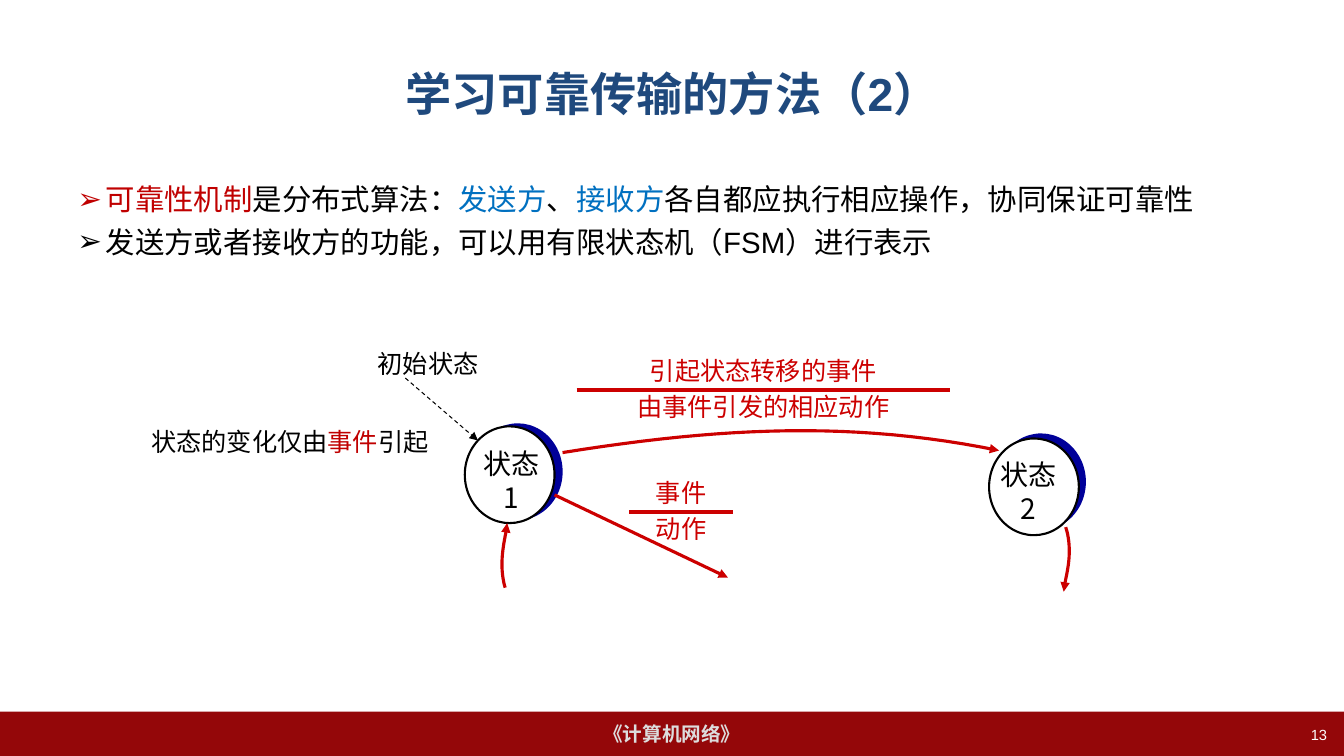
from lxml import etree
from pptx import Presentation
from pptx.dml.color import RGBColor
from pptx.enum.dml import MSO_LINE
from pptx.enum.shapes import MSO_CONNECTOR, MSO_SHAPE
from pptx.enum.text import MSO_ANCHOR, PP_ALIGN
from pptx.oxml.ns import qn
from pptx.util import Pt

PX = 9144
STRAIGHT = MSO_CONNECTOR.STRAIGHT
OVAL, RECTANGLE = MSO_SHAPE.OVAL, MSO_SHAPE.RECTANGLE
LEFT, CENTER, RIGHT = PP_ALIGN.LEFT, PP_ALIGN.CENTER, PP_ALIGN.RIGHT
TOP, MIDDLE = MSO_ANCHOR.TOP, MSO_ANCHOR.MIDDLE
DASH = MSO_LINE.DASH

BLACK = RGBColor(0x00, 0x00, 0x00)
WHITE = RGBColor(0xFF, 0xFF, 0xFF)
NAVY = RGBColor(0x1F, 0x49, 0x7D)
BLUE = RGBColor(0x00, 0x70, 0xC0)
CRIMSON = RGBColor(0xC0, 0x00, 0x00)
RED = RGBColor(0xCC, 0x00, 0x00)
SHADE = RGBColor(0x00, 0x00, 0x99)
MAROON = RGBColor(0x94, 0x07, 0x09)
SILVER = RGBColor(0xDD, 0xDD, 0xDD)
ARIAL, NOTO = "Arial", "Noto Sans CJK SC"


def px(*lengths):
    return [round(length * PX) for length in lengths]


def add_bullet(paragraph, mark, indent):
    properties = paragraph._p.get_or_add_pPr()
    properties.set("marL", str(indent * PX))
    properties.set("indent", str(-indent * PX))
    etree.SubElement(properties, qn("a:buFont")).set("typeface", ARIAL)
    etree.SubElement(properties, qn("a:buChar")).set("char", mark)


def write_text(shape, paragraphs, size=18, font=NOTO, color=BLACK, bold=False,
               align=CENTER, anchor=TOP, wrap=False, bullet=None, gap=0, spacing=None):
    frame = shape.text_frame
    frame.word_wrap = wrap
    frame.vertical_anchor = anchor
    for index, runs in enumerate(paragraphs):
        paragraph = frame.add_paragraph() if index else frame.paragraphs[0]
        if bullet:
            add_bullet(paragraph, bullet, 28)
        paragraph.alignment = align
        if spacing:
            paragraph.line_spacing = spacing
        if index and gap:
            paragraph.space_before = Pt(gap)
        for text, run_color in [(runs, color)] if isinstance(runs, str) else runs:
            run = paragraph.add_run()
            run.text = text
            run.font.size = Pt(size)
            run.font.bold = bold
            run.font.name = font
            run.font.color.rgb = run_color
            east_asian = etree.SubElement(run._r.get_or_add_rPr(), qn("a:ea"))
            east_asian.set("typeface", NOTO)


def add_text(slide, box, paragraphs, **text_format):
    write_text(slide.shapes.add_textbox(*px(*box)), paragraphs, **text_format)


def add_filled(slide, kind, box, fill, outline=None):
    shape = slide.shapes.add_shape(kind, *px(*box))
    shape.shadow.inherit = False
    shape.fill.solid()
    shape.fill.fore_color.rgb = fill
    if outline is None:
        shape.line.fill.background()
    else:
        shape.line.color.rgb = outline
        shape.line.width = Pt(1.5)
    return shape


def style_line(shape, color, width, arrow, dash=None):
    shape.line.color.rgb = color
    shape.line.width = Pt(width)
    if dash:
        shape.line.dash_style = dash
    if arrow:
        outline = shape._element.spPr.find(qn("a:ln"))
        etree.SubElement(outline, qn("a:tailEnd")).set("type", "triangle")


def add_line(slide, start, end, color=RED, width=2.25, arrow=False, dash=None):
    connector = slide.shapes.add_connector(STRAIGHT, *px(*start, *end))
    style_line(connector, color, width, arrow, dash)
    etree.SubElement(connector._element.spPr, qn("a:effectLst"))


def add_curved_arrow(slide, *controls, steps=24):
    def point(t):
        weights = ((1 - t) ** 3, 3 * t * (1 - t) ** 2, 3 * t ** 2 * (1 - t), t ** 3)
        return px(*(sum(w * c[axis] for w, c in zip(weights, controls)) for axis in (0, 1)))

    points = [point(step / steps) for step in range(steps + 1)]
    builder = slide.shapes.build_freeform(*points[0])
    builder.add_line_segments(points[1:], close=False)
    curve = builder.convert_to_shape()
    curve.shadow.inherit = False
    curve.fill.background()
    style_line(curve, RED, 2.25, True)


def add_state(slide, box, number, shade_offset, label_box):
    left, top, width, height = box
    dx, dy = shade_offset
    add_filled(slide, OVAL, (left + dx, top + dy, width, height), SHADE)
    add_filled(slide, OVAL, box, WHITE, BLACK)
    x, y, label_width, label_height = label_box
    add_text(slide, (left + x, top + y, label_width, label_height),
             ["状态", number], size=20, wrap=True)


def add_transition_label(slide, box, event, action):
    left, top, width, height = box
    middle = top + height // 2
    add_text(slide, (left, middle - 39, width, 40), [event], color=RED)
    add_line(slide, (left, middle), (left + width, middle))
    add_text(slide, (left, middle - 4, width, 40), [action], color=RED)


def add_heading(slide, box):
    add_text(slide, box, ["学习可靠传输的方法（2）"], size=33, font=ARIAL,
             color=NAVY, bold=True, anchor=MIDDLE, wrap=True)


def add_body(slide, box):
    add_text(slide, box, [
        [("可靠性机制", CRIMSON), ("是分布式算法：", BLACK), ("发送方", BLUE), ("、", BLACK),
         ("接收方", BLUE), ("各自都应执行相应操作，协同保证可靠性", BLACK)],
        "发送方或者接收方的功能，可以用有限状态机（FSM）进行表示",
    ], size=21, font=ARIAL, align=LEFT, wrap=True, bullet="➢", gap=5.3)


def add_state_machine(slide, box):
    left, top, width, height = box

    def at(x, y):
        return left + x, top + y

    add_state(slide, (*at(325, 82), 89, 96), "1", (8, -3), (1, 15, 91, 77))
    add_state(slide, (*at(845, 94), 89, 96), "2", (7, -5), (1, 14, 76, 77))
    add_curved_arrow(slide, at(422, 108), at(584, 82), at(713, 77), at(855, 106))
    add_curved_arrow(slide, at(365, 242), at(357, 214), at(367, 188), at(367, 178))
    add_curved_arrow(slide, at(921, 182), at(930, 210), at(919, 236), at(919, 246))
    add_line(slide, at(414, 150), at(586, 232), arrow=True)
    add_transition_label(slide, (*at(436, 6), 370, 80), "引起状态转移的事件", "由事件引发的相应动作")
    add_transition_label(slide, (*at(488, 127), 103, 80), "事件", "动作")
    add_line(slide, at(266, 34), at(338, 96), color=BLACK, width=0.75, arrow=True, dash=DASH)
    add_text(slide, (*at(228, 0), 121, 40), ["初始状态"])
    add_text(slide, (*at(0, 82), 303, 135), [
        [("状态的变化仅由", BLACK), ("事件", CRIMSON), ("引起", BLACK)],
    ], wrap=True, spacing=0.85)


def add_footer(slide, box):
    left, top, width, height = box
    bar = add_filled(slide, RECTANGLE, box, MAROON)
    write_text(bar, ["《计算机网络》"], size=14, font=ARIAL, color=SILVER,
               bold=True, anchor=MIDDLE)
    add_text(slide, (left + width - 318, top + 9, 311, 35), ["13"], size=10.5,
             font=ARIAL, color=WHITE, align=RIGHT, wrap=True)


def main():
    presentation = Presentation()
    presentation.slide_width, presentation.slide_height = px(1333, 750)
    slide = presentation.slides.add_slide(presentation.slide_layouts[6])
    add_footer(slide, (0, 706, 1333, 44))
    add_heading(slide, (67, 30, 1200, 125))
    add_body(slide, (67, 175, 1200, 495))
    add_state_machine(slide, (136, 341, 941, 246))
    presentation.save("out.pptx")


if __name__ == "__main__":
    main()
